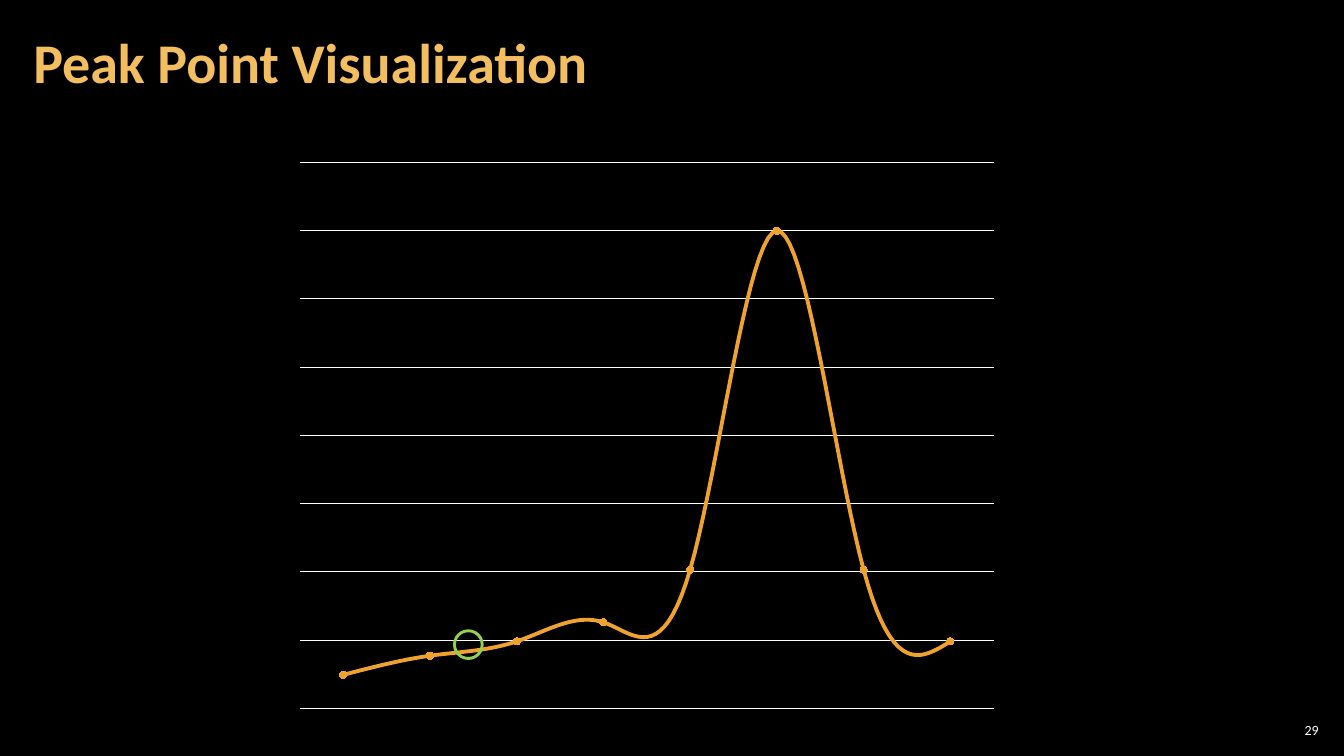
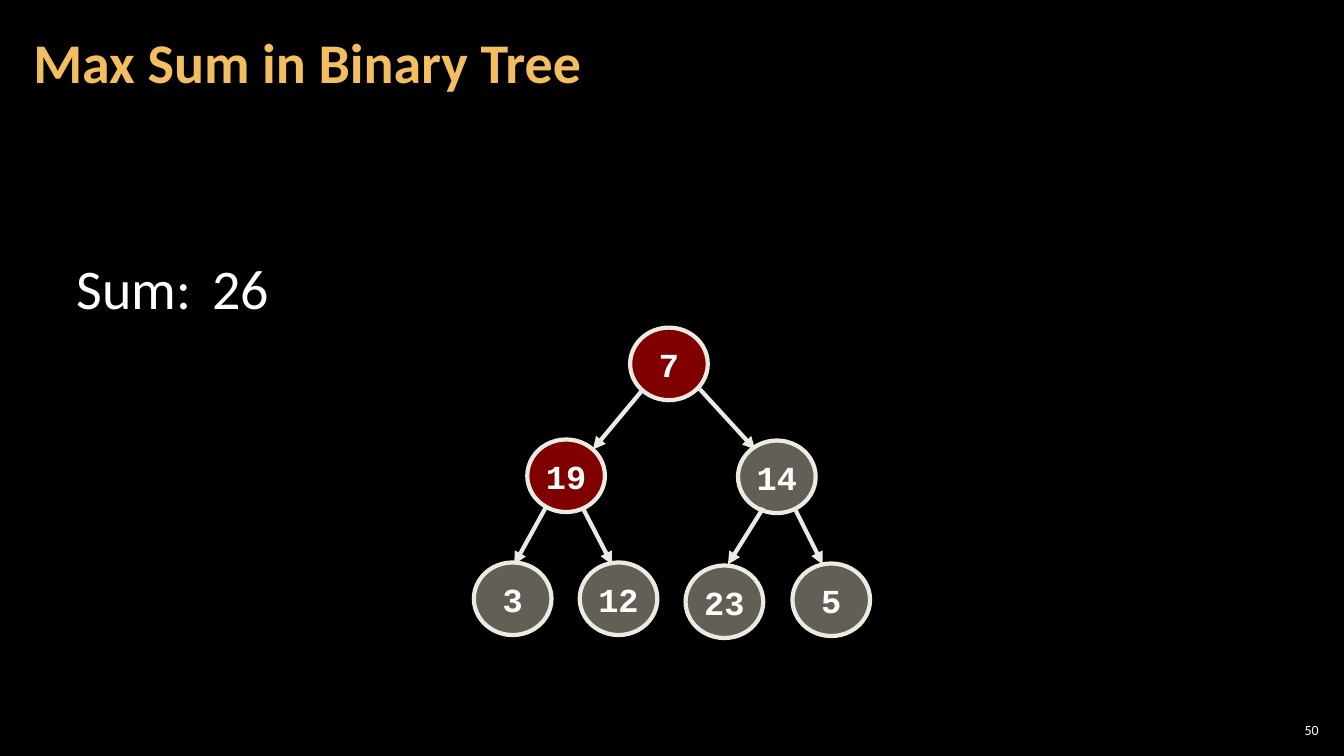
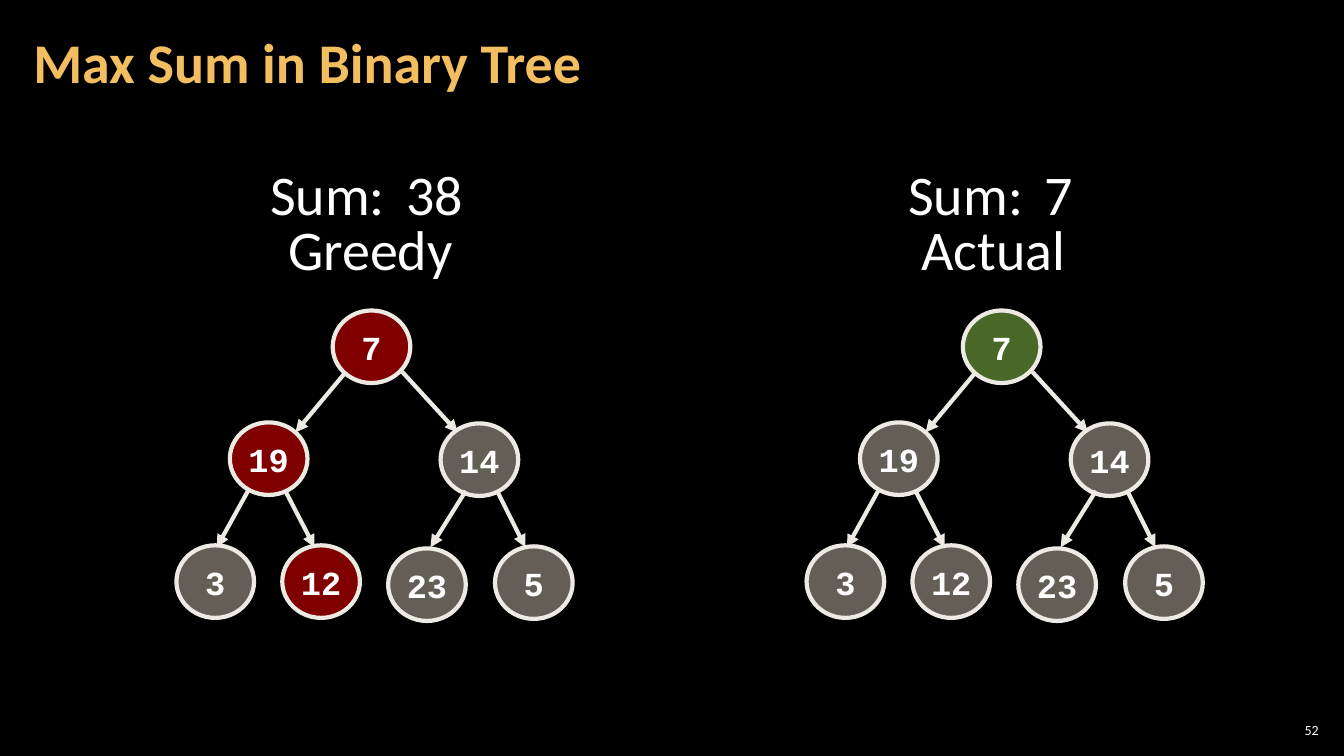
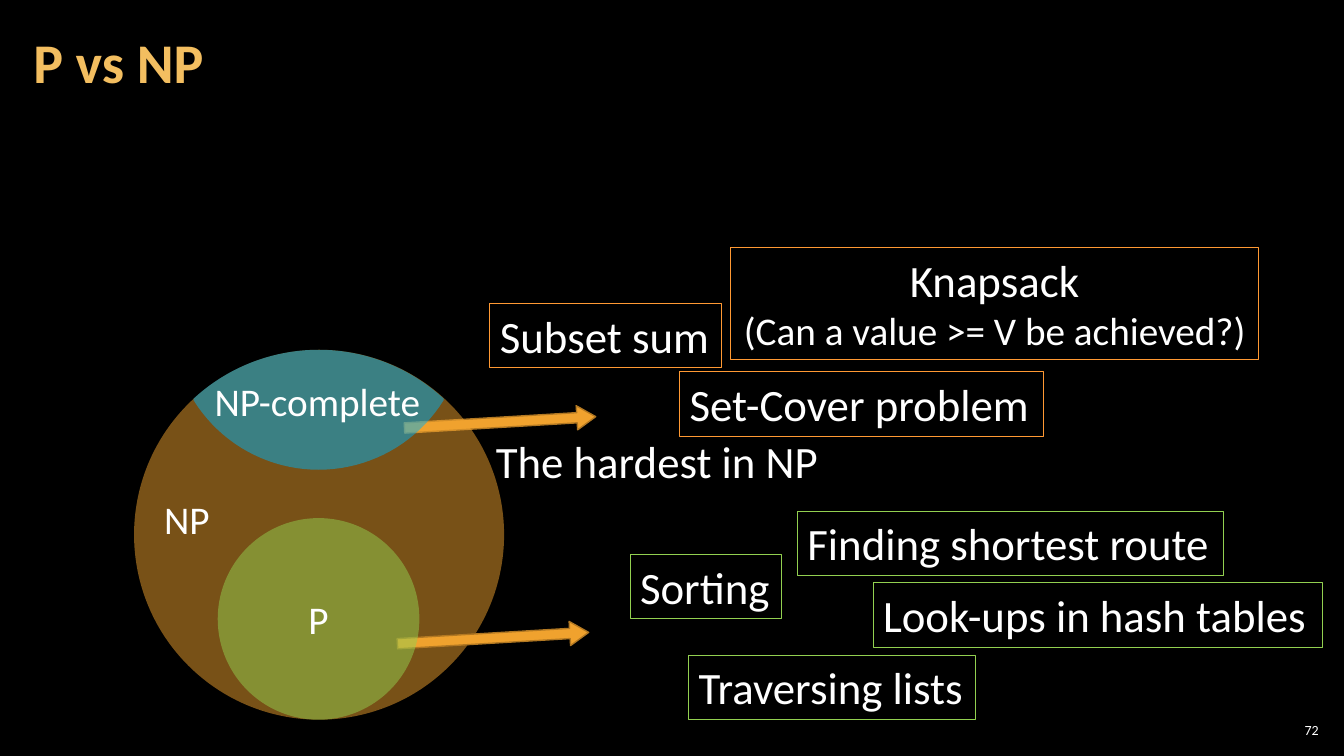
import math

import pptx
import pptx.chart.data
import pptx.dml.color
import pptx.enum.chart
import pptx.enum.shapes
import pptx.enum.text
import pptx.oxml
import pptx.oxml.ns
import pptx.util

Inches = pptx.util.Inches
Pt = pptx.util.Pt
SHAPE = pptx.enum.shapes.MSO_SHAPE
ALIGN = pptx.enum.text.PP_ALIGN
ANCHOR = pptx.enum.text.MSO_ANCHOR
AUTO_SIZE = pptx.enum.text.MSO_AUTO_SIZE

# Shared colours
BLACK, WHITE, GOLD = "000000", "FFFFFF", "F3BE60"
ORANGE, DARK_ORANGE, BORDER_ORANGE = "F0A22E", "B27822", "FF9933"
GREEN, RED, BLUE = "92D050", "FF0000", "00B0F0"
STONE, IVORY = "C7BFAC", "ECEAE3"

# Binary tree: places are relative to the left top corner of the root
TREE_NODES = {
    "7": (0, 0),
    "19": (-1.02, 1.11), "14": (1.07, 1.12),
    "3": (-1.55, 2.33), "12": (-0.5, 2.33),
    "23": (0.55, 2.36), "5": (1.61, 2.34),
}
TREE_EDGES = [
    ((0.13, 0.61), (-0.37, 1.21)), ((0.69, 0.61), (1.24, 1.21)),
    ((-0.84, 1.79), (-1.15, 2.35)), ((-0.47, 1.79), (-0.18, 2.35)),
    ((1.32, 1.79), (0.97, 2.35)), ((1.63, 1.79), (1.91, 2.35)),
]


def rgb(hex_color):
    return pptx.dml.color.RGBColor.from_string(hex_color)


def drawing_element(tag, **attributes):
    namespace = pptx.oxml.ns.nsdecls("a")
    values = " ".join(f'{key}="{value}"' for key, value in attributes.items())
    return pptx.oxml.parse_xml(f"<a:{tag} {namespace} {values}/>")


def arc(center, radius, start, end, steps=40):
    """Points on a circle; angles in radians, clockwise from the right."""
    for step in range(steps + 1):
        angle = start + (end - start) * step / steps
        yield (Inches(center[0] + radius * math.cos(angle)),
               Inches(center[1] + radius * math.sin(angle)))


class Deck:
    """The style of the slides and the slide in work."""

    font = "Calibri"
    code_font = "Courier New"

    def __init__(self):
        self.presentation = pptx.Presentation()
        self.presentation.slide_width = Inches(13.33)
        self.presentation.slide_height = Inches(7.5)
        background = self.presentation.slide_master.background.fill
        background.solid()
        background.fore_color.rgb = rgb(BLACK)
        self.slide = None

    def style(self, paragraph, size, color=WHITE, bold=False, font=None):
        for run in paragraph.runs:
            run.font.name = font or self.font
            run.font.size = Pt(size)
            run.font.bold = bold
            run.font.color.rgb = rgb(color)

    def paint(self, shape, fill, alpha=None, line=None, width=1):
        shape.shadow.inherit = False
        shape.fill.solid()
        shape.fill.fore_color.rgb = rgb(fill)
        if alpha:
            solid = shape.element.spPr.find(pptx.oxml.ns.qn("a:solidFill"))
            solid[0].append(drawing_element("alpha", val=alpha * 1000))
        if line:
            shape.line.color.rgb = rgb(line)
            shape.line.width = Pt(width)
        else:
            shape.line.fill.background()

    def new_slide(self, title, number):
        layout = self.presentation.slide_layouts.get_by_name("Title Only")
        self.slide = self.presentation.slides.add_slide(layout)
        heading = self.slide.shapes.title
        heading.left, heading.top = Inches(0.21), Inches(0.04)
        heading.width, heading.height = Inches(10.47), Inches(1.21)
        frame = heading.text_frame
        frame.text = title
        frame.auto_size = AUTO_SIZE.NONE
        self.set_frame(frame, 0.12, ALIGN.LEFT)
        frame.paragraphs[0].line_spacing = 0.9
        self.style(frame.paragraphs[0], 40, GOLD, bold=True)

        # Slide number
        footer = self.slide.shapes.add_textbox(
            Inches(12.65), Inches(7.14), Inches(0.47), Inches(0.21)).text_frame
        footer.text = str(number)
        footer.word_wrap = True
        self.set_frame(footer, 0.04, ALIGN.RIGHT)
        self.style(footer.paragraphs[0], 10)

    def set_frame(self, frame, side_margin, alignment):
        frame.margin_left = frame.margin_right = Inches(side_margin)
        frame.margin_top = frame.margin_bottom = Inches(0.04)
        frame.vertical_anchor = ANCHOR.MIDDLE
        frame.paragraphs[0].alignment = alignment

    def label(self, text, left, top, width, height, sizes=(32,),
              border=None, alignment=ALIGN.LEFT):
        box = self.slide.shapes.add_textbox(
            Inches(left), Inches(top), Inches(width), Inches(height))
        frame = box.text_frame
        frame.text = text
        frame.word_wrap = False
        frame.auto_size = AUTO_SIZE.SHAPE_TO_FIT_TEXT
        for paragraph, size in zip(frame.paragraphs, sizes):
            paragraph.alignment = alignment
            self.style(paragraph, size)
        if border:
            box.line.color.rgb = rgb(border)
            box.line.width = Pt(0.75)

    def shape(self, preset, left, top, width, height, fill, alpha=None,
              line=None, line_width=1, adjustments=(), rotation=0, parent=None):
        shape = (parent or self.slide).shapes.add_shape(
            preset, Inches(left), Inches(top), Inches(width), Inches(height))
        for index, value in enumerate(adjustments):
            shape.adjustments[index] = value
        shape.rotation = rotation
        self.paint(shape, fill, alpha, line, line_width)
        return shape

    def outline(self, points, fill, alpha):
        start, *others = points
        builder = self.slide.shapes.build_freeform(*start, scale=1.0)
        builder.add_line_segments(others, close=True)
        self.paint(builder.convert_to_shape(), fill, alpha)

    def arrow(self, parent, start, end):
        edge = parent.shapes.add_connector(
            pptx.enum.shapes.MSO_CONNECTOR.STRAIGHT,
            *(Inches(value) for value in (*start, *end)))
        edge.line.color.rgb = rgb(IVORY)
        edge.line.width = Pt(3)
        edge.line._get_or_add_ln().append(
            drawing_element("tailEnd", type="triangle"))
        edge.element.spPr.append(drawing_element("effectLst"))

    def tree(self, left, top, chosen, highlight):
        group = self.slide.shapes.add_group_shape()
        for value, (dx, dy) in TREE_NODES.items():
            node = self.shape(
                SHAPE.OVAL, left + dx, top + dy, 0.77, 0.72,
                highlight if value in chosen else STONE, 50, IVORY, 3,
                parent=group)
            frame = node.text_frame
            frame.text = value
            frame.word_wrap = False
            frame.vertical_anchor = ANCHOR.MIDDLE
            frame.paragraphs[0].alignment = ALIGN.CENTER
            self.style(frame.paragraphs[0], 24, bold=True, font=self.code_font)
        for edge in TREE_EDGES:
            self.arrow(group, *((left + dx, top + dy) for dx, dy in edge))

    def path_sum(self, total, left, top):
        self.label("Sum:", left, top, 1.35, 0.77, (40,))
        width = 0.77 if len(total) == 2 else 0.49
        self.label(total, left + 1.35, top, width, 0.77, (40,))

    def curve_chart(self, left, top, width, height, categories, values):
        data = pptx.chart.data.CategoryChartData()
        data.categories = categories
        data.add_series("Series 1", values)
        chart = self.slide.shapes.add_chart(
            pptx.enum.chart.XL_CHART_TYPE.LINE_MARKERS, Inches(left),
            Inches(top), Inches(width), Inches(height), data).chart
        chart.has_legend = chart.has_title = False
        chart.font.name = self.font
        chart.font.size = Pt(10)
        chart.font.color.rgb = rgb(WHITE)
        chart.plots[0].vary_by_categories = False

        # Hidden axes; the peak lies on the seventh of eight grid lines
        chart.category_axis.visible = False
        axis = chart.value_axis
        axis.visible = False
        axis.major_unit = max(values) / 7
        axis.minimum_scale, axis.maximum_scale = 0, axis.major_unit * 8
        axis.has_major_gridlines = True
        axis.major_gridlines.format.line.color.rgb = rgb(WHITE)
        axis.major_gridlines.format.line.width = Pt(0.75)

        curve = chart.plots[0].series[0]
        curve.smooth = True
        curve.format.line.color.rgb = rgb(ORANGE)
        curve.format.line.width = Pt(2.75)
        curve.marker.style = pptx.enum.chart.XL_MARKER_STYLE.CIRCLE
        curve.marker.size = 5
        curve.marker.format.fill.solid()
        curve.marker.format.fill.fore_color.rgb = rgb(ORANGE)
        curve.marker.format.line.fill.background()


def peak_point(deck):
    deck.new_slide("Peak Point Visualization", 29)
    deck.curve_chart(2.83, 1.5, 7.17, 5.64, ["1", "2", "3", "4", "5"],
                     [7, 11, 14, 18, 29, 100, 29, 14])
    deck.shape(SHAPE.DONUT, 4.5, 6.25, 0.29, 0.29, GREEN, line=GREEN,
               adjustments=[0.052])


def greedy_step(deck):
    deck.new_slide("Max Sum in Binary Tree", 50)
    deck.path_sum("26", 0.66, 2.47)
    deck.tree(6.25, 3.25, {"7", "19"}, RED)


def greedy_and_actual(deck):
    deck.new_slide("Max Sum in Binary Tree", 52)
    deck.path_sum("38", 2.58, 1.53)
    deck.path_sum("7", 8.91, 1.53)
    deck.tree(9.55, 3.08, {"7"}, GREEN)
    deck.tree(3.3, 3.08, {"7", "19", "12"}, RED)
    deck.label("Greedy", 2.76, 2.08, 1.85, 0.77, (40,))
    deck.label("Actual", 9.04, 2.08, 1.64, 0.77, (40,))


def p_vs_np(deck):
    deck.new_slide("P vs NP", 72)

    # Sets, each with its arrow beneath the set it starts from
    arrow_style = dict(fill=ORANGE, line=DARK_ORANGE,
                       adjustments=[0.42, 0.776], rotation=-3.4)
    deck.shape(SHAPE.RIGHT_ARROW, 4.01, 4.07, 1.9, 0.24, **arrow_style)
    deck.shape(SHAPE.OVAL, 1.33, 3.47, 3.67, 3.67, ORANGE, 50)
    deck.shape(SHAPE.RIGHT_ARROW, 3.94, 6.21, 1.9, 0.24, **arrow_style)
    deck.shape(SHAPE.OVAL, 2.16, 5.14, 2, 2, GREEN, 50)

    # NP-complete: the overlap of the NP circle and a smaller circle above
    np_radius, cap_radius, half_width = 1.83, 1.46, 1.24
    np_angle = math.asin(half_width / np_radius)
    cap_angle = math.asin(half_width / cap_radius)
    up, down = -math.pi / 2, math.pi / 2
    deck.outline(
        [*arc((3.16, 5.3), np_radius, up - np_angle, up + np_angle),
         *arc((3.16, 3.2), cap_radius, down - cap_angle, down + cap_angle)],
        BLUE, 50)

    # Names of the sets
    deck.label("P", 2.96, 5.86, 0.41, 0.57, (28,))
    deck.label("NP", 1.53, 4.86, 0.66, 0.57, (28,))
    deck.label("NP-complete", 2.03, 3.69, 2.28, 0.57, (28,))
    deck.label("The hardest in NP", 4.82, 4.25, 3.43, 0.64)

    # Example problems
    for problem, left, top, width, border in [
        ("Sorting", 6.25, 5.5, 1.5, GREEN),
        ("Traversing lists", 6.83, 6.5, 2.85, GREEN),
        ("Finding shortest route", 7.91, 5.07, 4.23, GREEN),
        ("Look-ups in hash tables", 8.66, 5.78, 4.46, GREEN),
        ("Subset sum", 4.86, 3.01, 2.3, BORDER_ORANGE),
        ("Set-Cover problem", 6.74, 3.69, 3.61, BORDER_ORANGE),
    ]:
        deck.label(problem, left, top, width, 0.64, border=border)
    deck.label("Knapsack\n(Can a value >= V be achieved?)",
               7.25, 2.46, 5.23, 1.11, (32, 28), BORDER_ORANGE, ALIGN.CENTER)


def main():
    deck = Deck()
    peak_point(deck)
    greedy_step(deck)
    greedy_and_actual(deck)
    p_vs_np(deck)
    deck.presentation.save("out.pptx")


if __name__ == "__main__":
    main()
